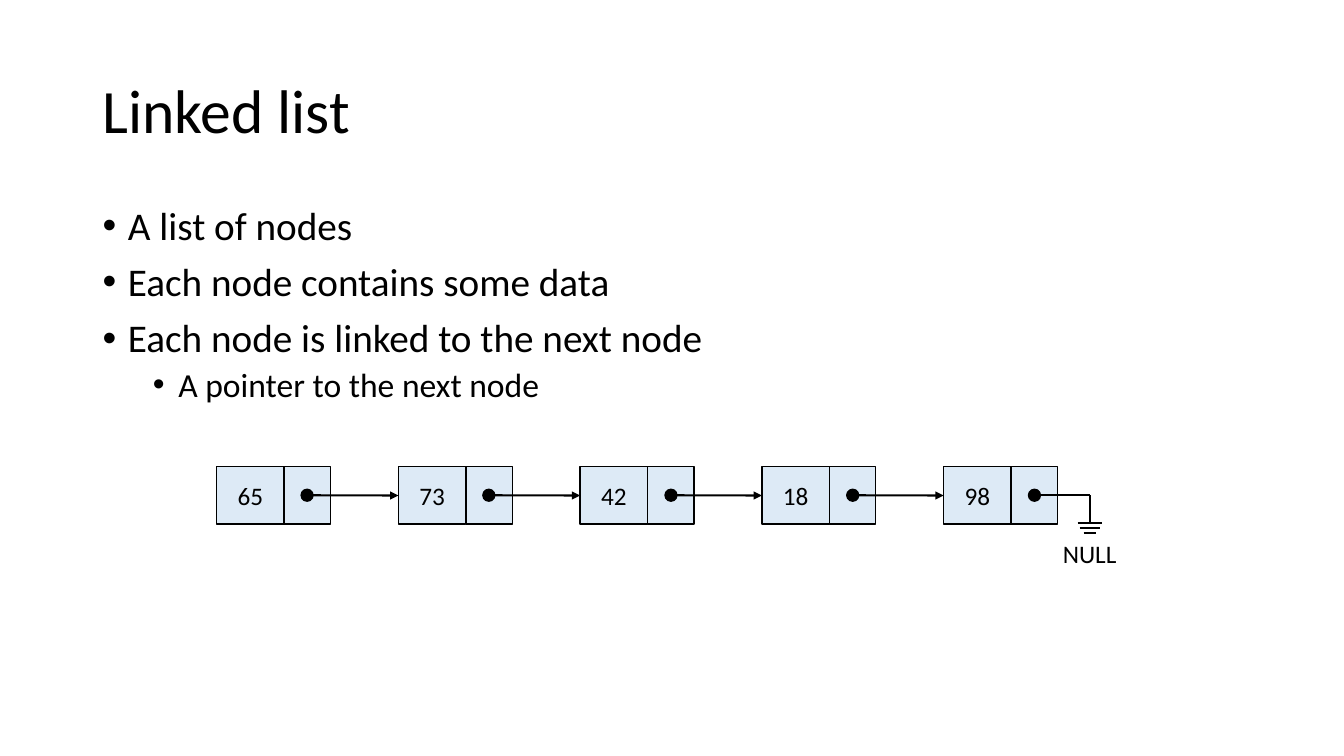
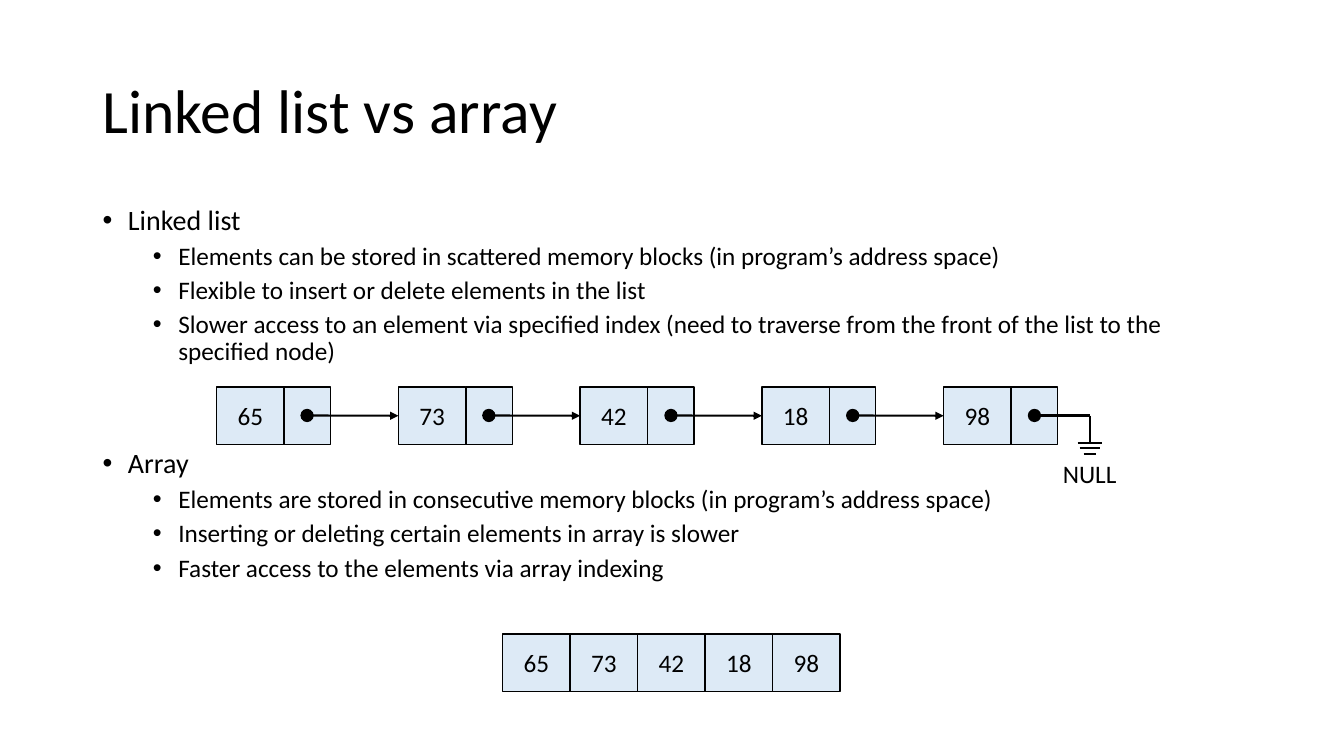
from dataclasses import dataclass

from pptx import Presentation
from pptx.dml.color import RGBColor
from pptx.enum.shapes import MSO_CONNECTOR as Connector, MSO_SHAPE as Preset
from pptx.enum.text import MSO_ANCHOR as Anchor, MSO_AUTO_SIZE as AutoSize, PP_ALIGN as Align
from pptx.oxml.ns import qn
from pptx.oxml.xmlchemy import OxmlElement
from pptx.util import Cm, Pt


@dataclass(frozen=True)
class Theme:
    font: str = "Calibri"
    ink: RGBColor = RGBColor(0x00, 0x00, 0x00)
    cell: RGBColor = RGBColor(0xDD, 0xEA, 0xF6)
    title_size: int = 44
    large_list: tuple = (28, 24)
    small_list: tuple = (20, 18)
    label_size: int = 18
    outline: float = 1
    stroke: float = 1.5


THEME = Theme()
TITLE_BOX = (2.33, 1.01, 29.21, 3.68)
BODY_BOX = (2.33, 5.07, 29.21, 12.09)
LIST_LEVELS = (
    {"margin": 0.64, "space_before": 10},
    {"margin": 1.91, "space_before": 5},
)
HANGING = 0.64

VALUES = (65, 73, 42, 18, 98)
DATA_WIDTH, POINTER_WIDTH, CELL_HEIGHT = 1.7, 1.17, 1.45
LIST_LEFT, NODE_PITCH = 5.46, 4.58
ARRAY_LEFT, ARRAY_TOP = 12.67, 15.98
DOT = 0.3
NULL_OFFSET = 3.68
GROUND_DROP, GROUND_GAP, GROUND_WIDTHS = 1.42, 0.13, (0.6, 0.5, 0.3)
NULL_BOX = (1.88, 1.03)


def lengths(*values):
    return [Cm(round(value, 2)) for value in values]


def apply_format(target, values):
    for name, value in values.items():
        setattr(target, name, value)


def write(paragraph, text, size, **paragraph_format):
    apply_format(paragraph, paragraph_format)
    run = paragraph.add_run()
    run.text = text
    apply_format(run.font, {"name": THEME.font, "size": Pt(size)})
    run.font.color.rgb = THEME.ink


def place(shape, box):
    apply_format(shape, dict(zip(("left", "top", "width", "height"), lengths(*box))))


def set_bullet(paragraph, margin):
    properties = paragraph._p.get_or_add_pPr()
    properties.set("marL", str(Cm(margin)))
    properties.set("indent", str(-Cm(HANGING)))
    bullet = OxmlElement("a:buChar")
    bullet.set("char", "•")
    properties.append(bullet)


def add_slide(presentation, title, items, sizes):
    """Items are (level, text) or (level, text, points of space before)."""
    slide = presentation.slides.add_slide(presentation.slide_layouts[1])
    heading, body = slide.shapes.title, slide.placeholders[1]
    for shape, box, anchor in ((heading, TITLE_BOX, Anchor.MIDDLE), (body, BODY_BOX, Anchor.TOP)):
        place(shape, box)
        apply_format(shape.text_frame, {
            "word_wrap": True, "auto_size": AutoSize.NONE, "vertical_anchor": anchor})
    write(heading.text_frame.paragraphs[0], title, THEME.title_size,
          alignment=Align.LEFT, line_spacing=0.9)
    frame = body.text_frame
    for index, (level, text, *space) in enumerate(items):
        paragraph = frame.add_paragraph() if index else frame.paragraphs[0]
        style = LIST_LEVELS[level]
        before = space[0] if space else style["space_before"]
        write(paragraph, text, sizes[level], level=level, line_spacing=0.9,
              space_before=Pt(before))
        set_bullet(paragraph, style["margin"])
    return slide


def add_filled(shapes, preset, box, color):
    shape = shapes.add_shape(preset, *lengths(*box))
    shape.shadow.inherit = False
    shape.fill.solid()
    shape.fill.fore_color.rgb = color
    shape.line.color.rgb = THEME.ink
    shape.line.width = Pt(THEME.outline)
    return shape


def add_cell(shapes, left, top, width, value=None):
    cell = add_filled(shapes, Preset.RECTANGLE, (left, top, width, CELL_HEIGHT), THEME.cell)
    if value is not None:
        cell.text_frame.vertical_anchor = Anchor.MIDDLE
        write(cell.text_frame.paragraphs[0], str(value), THEME.label_size,
              alignment=Align.CENTER)
    return cell


def add_line(shapes, start, end):
    line = shapes.add_connector(Connector.STRAIGHT, *lengths(*start, *end))
    line.line.color.rgb = THEME.ink
    line.line.width = Pt(THEME.stroke)
    line._element.spPr.append(OxmlElement("a:effectLst"))
    return line


def add_arrow(shapes, start, end, target):
    """Draw an arrow that is joined to the left side of the target."""
    arrow = add_line(shapes, start, end)
    head = OxmlElement("a:tailEnd")
    head.set("type", "triangle")
    arrow._element.spPr.find(qn("a:ln")).append(head)
    arrow.end_connect(target, 1)


def add_null(shapes, start, pole, top):
    """Draw the ground symbol that ends the list, with its label."""
    ground = top + GROUND_DROP
    add_line(shapes, start, (pole, start[1]))
    add_line(shapes, (pole, start[1]), (pole, ground))
    for index, width in enumerate(GROUND_WIDTHS):
        height = ground + index * GROUND_GAP
        add_line(shapes, (pole - width / 2, height), (pole + width / 2, height))
    width, height = NULL_BOX
    label_top = ground + len(GROUND_WIDTHS) * GROUND_GAP - GROUND_GAP
    label = shapes.add_textbox(*lengths(pole - width / 2, label_top, width, height))
    label.text_frame.word_wrap = False
    write(label.text_frame.paragraphs[0], "NULL", THEME.label_size, alignment=Align.CENTER)


def add_linked_list(slide, top):
    shapes = slide.shapes.add_group_shape().shapes
    lefts = [LIST_LEFT + index * NODE_PITCH for index in range(len(VALUES))]
    middle = top + CELL_HEIGHT / 2
    data_cells = []
    for left, value in zip(lefts, VALUES):
        data_cells.append(add_cell(shapes, left, top, DATA_WIDTH, value))
        add_cell(shapes, left + DATA_WIDTH, top, POINTER_WIDTH)
    pointers = [(left + DATA_WIDTH + POINTER_WIDTH / 2, middle) for left in lefts]
    for pointer, left, target in zip(pointers, lefts[1:], data_cells[1:]):
        add_arrow(shapes, pointer, (left, middle), target)
    add_null(shapes, pointers[-1], lefts[-1] + NULL_OFFSET, top)
    for x, y in pointers:
        add_filled(shapes, Preset.OVAL, (x - DOT / 2, y - DOT / 2, DOT, DOT), THEME.ink)


def add_array(slide):
    shapes = slide.shapes.add_group_shape().shapes
    for index, value in enumerate(VALUES):
        add_cell(shapes, ARRAY_LEFT + index * DATA_WIDTH, ARRAY_TOP, DATA_WIDTH, value)


def main():
    presentation = Presentation()
    apply_format(presentation, {"slide_width": Cm(33.87), "slide_height": Cm(19.05)})

    slide = add_slide(presentation, "Linked list", (
        (0, "A list of nodes"),
        (0, "Each node contains some data"),
        (0, "Each node is linked to the next node"),
        (1, "A pointer to the next node"),
    ), THEME.large_list)
    add_linked_list(slide, top=11.76)

    slide = add_slide(presentation, "Linked list vs array", (
        (0, "Linked list"),
        (1, "Elements can be stored in scattered memory blocks (in program’s address space)"),
        (1, "Flexible to insert or delete elements in the list"),
        (1, "Slower access to an element via specified index (need to traverse from the "
            "front of the list to the specified node)"),
        (0, "Array", 59.5),
        (1, "Elements are stored in consecutive memory blocks (in program’s address space)"),
        (1, "Inserting or deleting certain elements in array is slower"),
        (1, "Faster access to the elements via array indexing"),
    ), THEME.small_list)
    add_linked_list(slide, top=9.75)
    add_array(slide)

    presentation.save("out.pptx")


if __name__ == "__main__":
    main()
